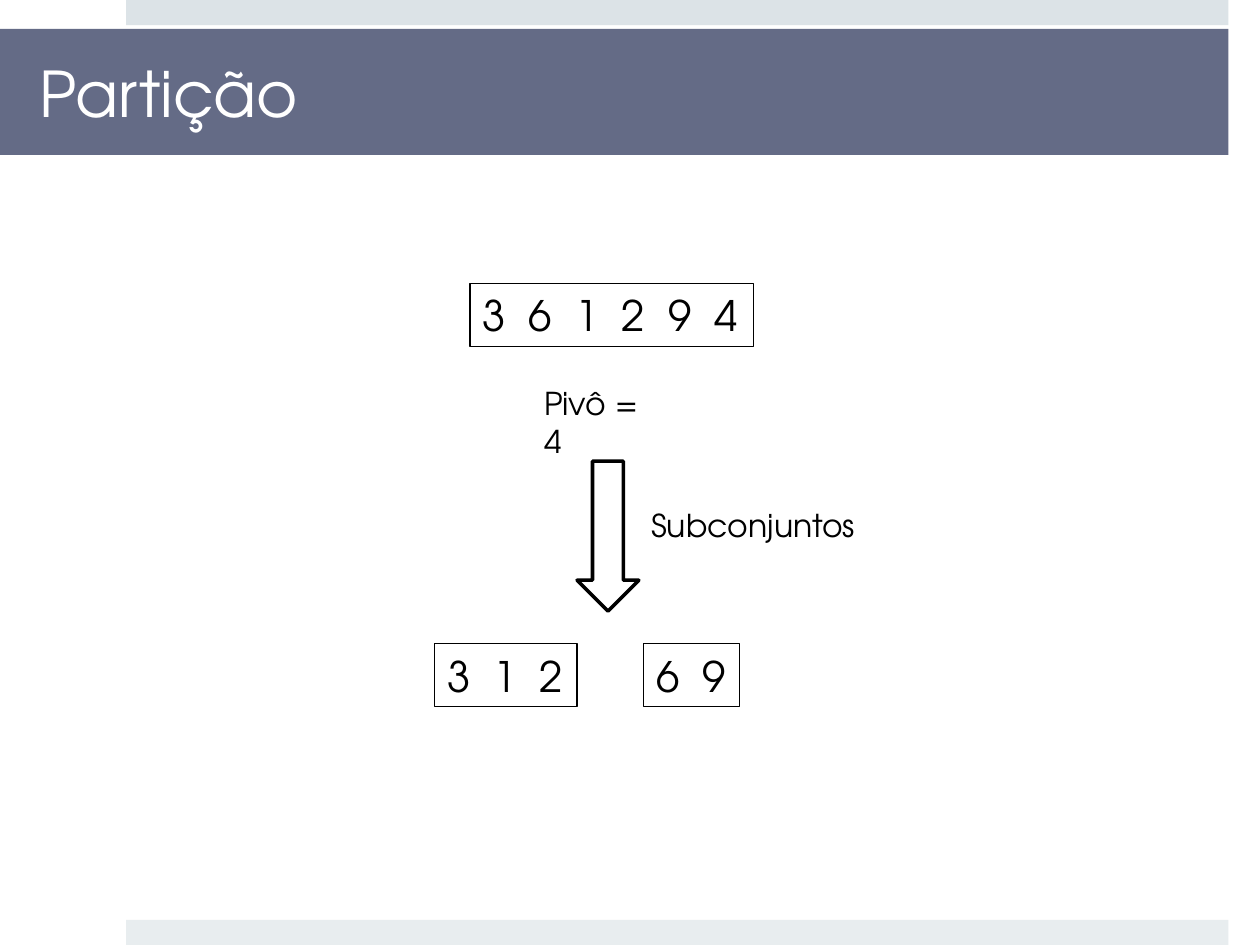
from pptx import Presentation
from pptx.dml.color import RGBColor
from pptx.enum import shapes, text
from pptx.util import Inches, Pt

FONT = "TeX Gyre Adventor"
COLORS = {"top": "DCE3E7", "bottom": "E8EDEF", "title": "646B86",
          "white": "FFFFFF", "black": "000000"}
rgb = {name: RGBColor.from_string(c) for name, c in COLORS.items()}

prs = Presentation()
prs.slide_width, prs.slide_height = Inches(10), Inches(7.5)
s = prs.slides.add_slide(prs.slide_layouts[5])


def add_shape(kind, box, fill=None, line=None):
    sp = s.shapes.add_shape(kind, *map(Inches, box))
    sp.shadow.inherit = False
    if fill:
        sp.fill.solid()
        sp.fill.fore_color.rgb = rgb[fill]
    else:
        sp.fill.background()
    if line:
        sp.line.color.rgb = rgb["black"]
        sp.line.width = Pt(line)
    else:
        sp.line.fill.background()
    return sp


def write(sp, words, size, color="black", right=0):
    tf = sp.text_frame
    tf.word_wrap = True
    tf.margin_right = Inches(right)
    p = tf.paragraphs[0]
    p.text = words
    p.alignment = text.PP_ALIGN.LEFT
    p.font.name, p.font.size = FONT, Pt(size)
    p.font.color.rgb = rgb[color]
    return tf


# Bands at the top and bottom edges
for top, fill in ((0, "top"), (7.3, "bottom")):
    add_shape(shapes.MSO_SHAPE.RECTANGLE, (1, top, 8.75, 0.2), fill)

# Title
title = s.shapes.title
title.left, title.top, title.width, title.height = map(Inches, (0, 0.23, 9.75, 1))
title.fill.solid()
title.fill.fore_color.rgb = rgb["title"]
tf = write(title, "Partição", 36, "white", 0.3)
tf.margin_left = Inches(0.31)
tf.vertical_anchor = text.MSO_ANCHOR.MIDDLE

# Number sets, with letter spacing between the digits
for digits, left, top, width in (("361294", 3.73, 2.25, 2.25),
                                 ("312", 3.45, 5.11, 1.13),
                                 ("69", 5.11, 5.11, 0.76)):
    sp = add_shape(shapes.MSO_SHAPE.RECTANGLE, (left, top, width, 0.5), line=0.75)
    tf = write(sp, " ".join(digits), 24)
    tf.vertical_anchor = text.MSO_ANCHOR.TOP
    tf.paragraphs[0].runs[0]._r.get_or_add_rPr().set("spc", "333")

# Arrow from the whole set to its subsets
add_shape(shapes.MSO_SHAPE.DOWN_ARROW, (4.58, 3.66, 0.49, 1.19), "white", 2)

# Labels
for words, left, top, width, right in (("Pivô = 4", 4.22, 3, 1.14, 0.2),
                                       ("Subconjuntos", 5.07, 3.97, 1.84, 0)):
    tb = s.shapes.add_textbox(*map(Inches, (left, top, width, 0.4)))
    write(tb, words, 18, right=right)

prs.save("out.pptx")
